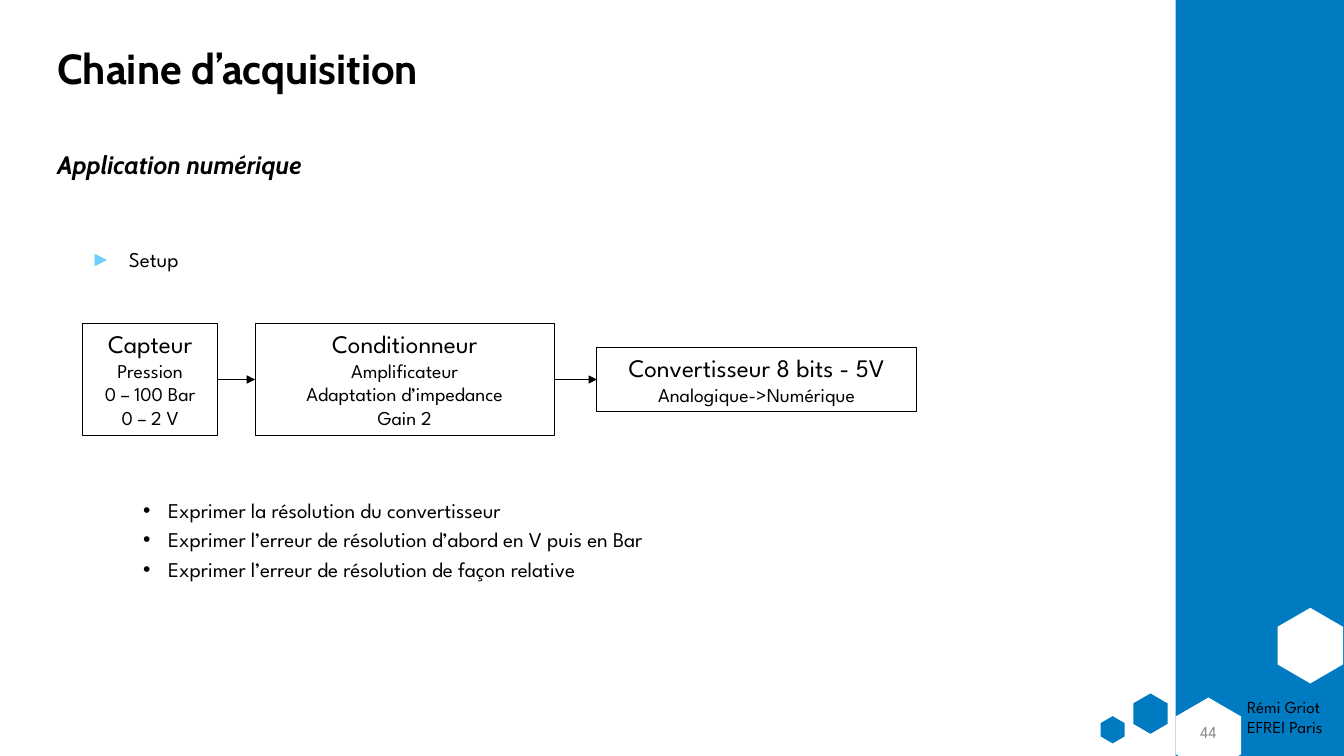
from lxml import etree
from pptx import Presentation
from pptx.dml.color import RGBColor
from pptx.enum.shapes import MSO_CONNECTOR, MSO_SHAPE
from pptx.enum.text import MSO_ANCHOR, MSO_AUTO_SIZE, PP_ALIGN
from pptx.oxml.ns import qn
from pptx.util import Inches, Pt

BLUE = RGBColor(0x00, 0x7B, 0xC1)
SKY = RGBColor(0x6F, 0xCF, 0xFF)
GREY = RGBColor(0x8C, 0x8C, 0x8C)
BLACK = RGBColor(0, 0, 0)
WHITE = RGBColor(0xFF, 0xFF, 0xFF)

TITLE = dict(name="Cabin", size=Pt(30), bold=True)
SUBTITLE = dict(name="Cabin", size=Pt(18), bold=True, italic=True)
BODY = dict(name="League Spartan", size=Pt(15))
HEAD = dict(name="League Spartan", size=Pt(18))
DETAIL = dict(name="League Spartan", size=Pt(14))
FOOTER = dict(name="League Spartan", size=Pt(12))


def add_run(p, text, style, color=BLACK):
    r = p.add_run()
    r.text = text
    for key, value in style.items():
        setattr(r.font, key, value)
    r.font.color.rgb = color


def add_bullet(p, char, indent, hanging, color):
    pPr = p._p.get_or_add_pPr()
    pPr.set("marL", str(Inches(indent)))
    pPr.set("indent", str(-Inches(hanging)))
    clr = etree.SubElement(pPr, qn("a:buClr"))
    etree.SubElement(clr, qn("a:srgbClr"), val=str(color))
    etree.SubElement(pPr, qn("a:buFont"), typeface="Arial")
    etree.SubElement(pPr, qn("a:buChar"), char=char)


def add_text(s, box, lines, style, color=BLACK, anchor=MSO_ANCHOR.TOP,
             align=PP_ALIGN.LEFT, spacing=1.0, before=0, bullet=None):
    tf = s.shapes.add_textbox(*map(Inches, box)).text_frame
    tf.word_wrap = True
    tf.vertical_anchor = anchor
    for i, line in enumerate(lines):
        p = tf.paragraphs[0] if i == 0 else tf.add_paragraph()
        p.alignment = align
        p.line_spacing = spacing
        if i:
            p.space_before = Pt(before)
        if bullet:
            add_bullet(p, *bullet)
        add_run(p, line, style, color)


def add_filled(s, kind, box, color):
    sp = s.shapes.add_shape(kind, *map(Inches, box))
    sp.shadow.inherit = False
    sp.fill.solid()
    sp.fill.fore_color.rgb = color
    sp.line.fill.background()
    return sp


def add_side_band(s, left, top, width, height):
    add_filled(s, MSO_SHAPE.RECTANGLE, (left, top, width, height), BLUE)
    bottom = top + height
    # Hexagons: offset from the band's lower left corner, size, colour
    for dx, dy, w, h, color in [(0.96, -1.42, 0.75, 0.65, WHITE),
                                (-0.45, -0.59, 0.4, 0.34, BLUE),
                                (-0.76, -0.38, 0.27, 0.24, BLUE),
                                (-0.05, -0.53, 0.75, 0.65, WHITE)]:
        hexagon = add_filled(s, MSO_SHAPE.HEXAGON, (left + dx, bottom + dy, w, h), color)
        hexagon.adjustments[0] = 0.29
        hexagon.rotation = 90
    # Author and slide number
    add_text(s, (left + 0.61, bottom - 0.64, 1.1, 0.5),
             ["Rémi Griot", "EFREI Paris"], FOOTER)
    add_text(s, (left, bottom - 0.44, 0.65, 0.4), ["44"], FOOTER, GREY,
             MSO_ANCHOR.MIDDLE, PP_ALIGN.CENTER)


def add_stage(s, box, head, details):
    sp = s.shapes.add_shape(MSO_SHAPE.RECTANGLE, *map(Inches, box))
    sp.shadow.inherit = False
    sp.fill.background()
    sp.line.color.rgb = BLACK
    sp.line.width = Pt(0.75)
    tf = sp.text_frame
    tf.word_wrap = True
    tf.auto_size = MSO_AUTO_SIZE.SHAPE_TO_FIT_TEXT
    tf.vertical_anchor = MSO_ANCHOR.TOP
    p = tf.paragraphs[0]
    add_run(p, head, HEAD)
    p.add_line_break()
    for i, detail in enumerate(details):
        p = p if i == 0 else tf.add_paragraph()
        p.alignment = PP_ALIGN.CENTER
        add_run(p, detail, DETAIL)
    return sp


def add_arrow(s, source, target):
    cx = s.shapes.add_connector(MSO_CONNECTOR.STRAIGHT, 0, 0, 0, 0)
    cx.begin_connect(source, 3)
    cx.end_connect(target, 1)
    cx.line.color.rgb = BLACK
    cx.line.width = Pt(0.5)
    etree.SubElement(cx.line._get_or_add_ln(), qn("a:tailEnd"), type="triangle")
    etree.SubElement(cx._element.spPr, qn("a:effectLst"))


def add_chain(s, left, top, height):
    stages = [(0, 1.34, height, "Capteur", ["Pression", "0 – 100 Bar", "0 – 2 V"]),
              (1.71, 2.97, height, "Conditionneur",
               ["Amplificateur", "Adaptation d’impedance", "Gain 2"]),
              (5.1, 3.17, 0.64, "Convertisseur 8 bits - 5V", ["Analogique->Numérique"])]
    # Stages share one horizontal axis
    shapes = [add_stage(s, (left + dx, top + (height - h) / 2, w, h), head, details)
              for dx, w, h, head, details in stages]
    for source, target in zip(shapes, shapes[1:]):
        add_arrow(s, source, target)


def add_content(s, left, top):
    # Headings
    add_text(s, (left, top, 10.82, 1.45), ["Chaine d’acquisition"], TITLE,
             anchor=MSO_ANCHOR.MIDDLE, spacing=0.9)
    add_text(s, (left, top + 1.49, 8.77, 0.4), ["Application numérique"], SUBTITLE,
             spacing=0.9)
    # Setup and its block diagram
    add_text(s, (left + 0.33, top + 2.44, 6.68, 0.51), ["Setup"], BODY,
             spacing=0.9, bullet=("►", 0.38, 0.38, SKY))
    add_chain(s, left + 0.35, top + 3.23, 1.11)
    # Questions
    add_text(s, (left + 0.35, top + 4.93, 6.68, 1.92),
             ["Exprimer la résolution du convertisseur",
              "Exprimer l’erreur de résolution d’abord en V puis en Bar",
              "Exprimer l’erreur de résolution de façon relative"],
             BODY, spacing=0.9, before=5, bullet=("•", 0.75, 0.25, BLACK))


def main():
    prs = Presentation()
    prs.slide_width, prs.slide_height = Inches(13.33), Inches(7.5)
    s = prs.slides.add_slide(prs.slide_layouts[6])
    add_side_band(s, 11.66, 0, 1.67, 7.5)
    add_content(s, 0.47, -0.02)
    prs.save("out.pptx")


if __name__ == "__main__":
    main()
